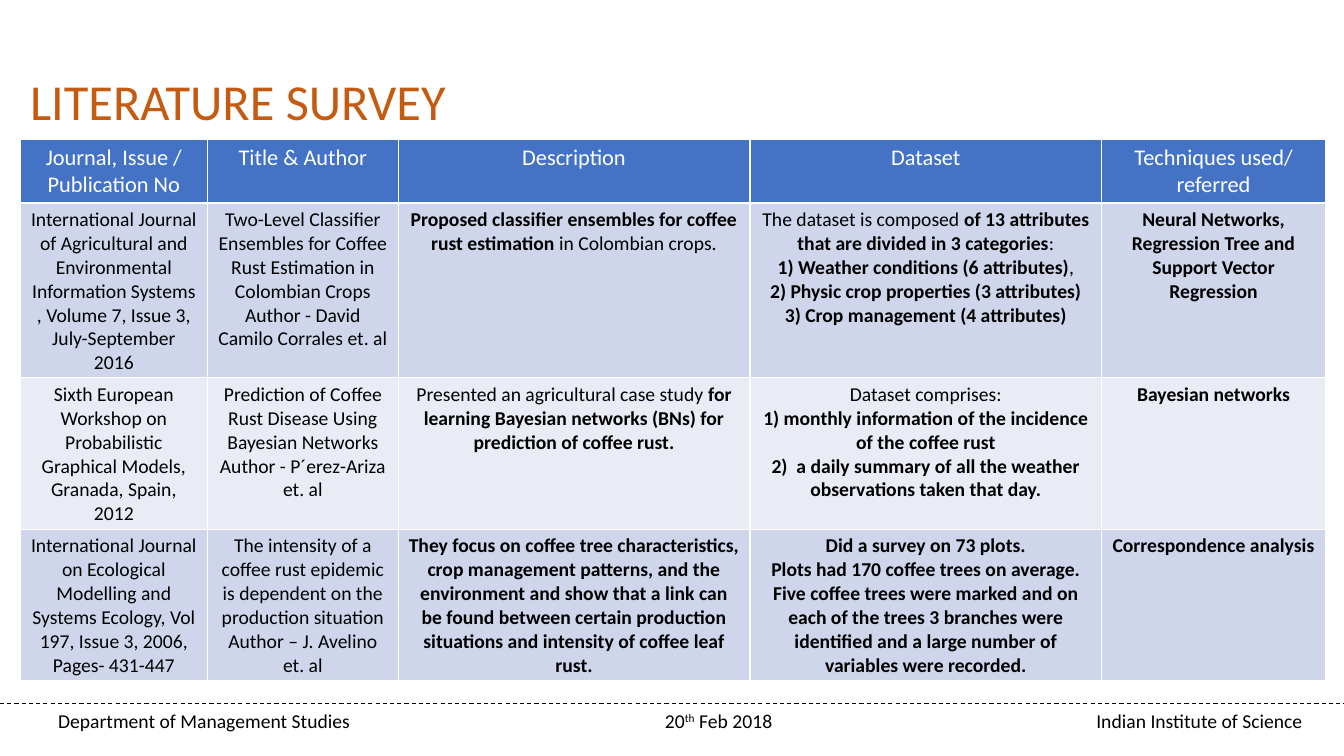
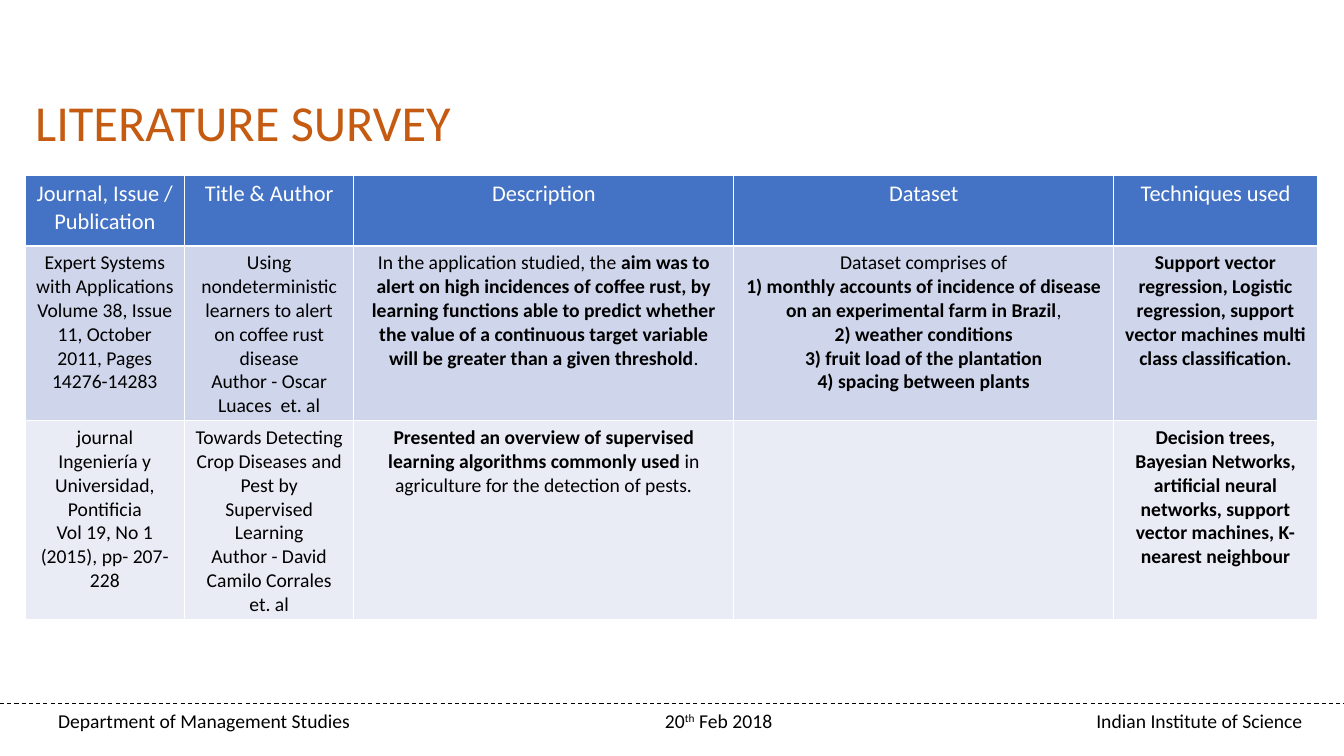
import pptx
import pptx.dml.color
import pptx.enum.dml
import pptx.enum.shapes
import pptx.enum.text
import pptx.oxml
import pptx.oxml.ns
import pptx.util

Pt = pptx.util.Pt

FONT = "Calibri"
COLORS = {
    "title": "C55A11",
    "text": "000000",
    "header": "4472C4",
    "header_text": "FFFFFF",
    "odd_row": "CFD5EA",
    "even_row": "E9EBF5",
}
SLIDE_W, SLIDE_H = 960, 540
FOOTER_TOP = 502.6

# In table cells, ** switches bold on and off, and a line break starts a paragraph.
SURVEYS = [
    {
        "title_at": (14.4, 46.8),
        "table_at": (14.4, 99.4),
        "cols": [133.9, 136.1, 251.3, 251.3, 159.8],
        "rows": [45.4, 123.1, 104.4, 104.4],
        "cells": [
            ["Journal, Issue / Publication No", "Title & Author", "Description",
             "Dataset", "Techniques used/ referred"],
            ["International Journal of Agricultural and Environmental Information "
             "Systems , Volume 7, Issue 3, July-September 2016",
             "Two-Level Classifier Ensembles for Coffee Rust Estimation in Colombian "
             "Crops\nAuthor - David Camilo Corrales et. al",
             "**Proposed classifier ensembles for coffee rust estimation** in "
             "Colombian crops.",
             "The dataset is composed **of 13 attributes that are divided in 3 "
             "categories**:\n**1) Weather conditions (6 attributes)**,\n"
             "**2) Physic crop properties (3 attributes)**\n"
             "**3) Crop management (4 attributes)**",
             "**Neural Networks, Regression Tree and Support Vector Regression**"],
            ["Sixth European Workshop on Probabilistic Graphical Models, Granada, "
             "Spain, 2012",
             "Prediction of Coﬀee Rust Disease Using Bayesian Networks\n"
             "Author - P´erez-Ariza et. al",
             "Presented an agricultural case study **for learning Bayesian networks "
             "(BNs) for prediction of coﬀee rust.**",
             "Dataset comprises:\n"
             "**1) monthly information of the incidence of the coﬀee rust**\n"
             "**2)  a daily summary of all the weather observations taken that day.**",
             "**Bayesian networks**"],
            ["International Journal on Ecological Modelling and Systems Ecology, "
             "Vol 197, Issue 3, 2006, Pages- 431-447",
             "The intensity of a coffee rust epidemic is dependent on the production "
             "situation\nAuthor – J. Avelino et. al",
             "**They focus on coffee tree characteristics, crop management patterns, "
             "and the environment and show that a link can be found between certain "
             "production situations and intensity of coffee leaf rust.**",
             "**Did a survey on 73 plots.**\n"
             "**Plots had 170 coffee trees on average.**\n"
             "**Five coffee trees were marked and on each of the trees 3 branches "
             "were identified and a large number of variables were recorded.**",
             "**Correspondence analysis**"],
        ],
    },
    {
        "title_at": (18, 61.2),
        "table_at": (18, 125.3),
        "cols": [113.8, 121, 271.4, 271.4, 145.4],
        "rows": [50.4, 120.2, 108.7],
        "cells": [
            ["Journal, Issue / Publication", "Title & Author", "Description",
             "Dataset", "Techniques used"],
            ["Expert Systems with Applications\n"
             "Volume 38, Issue 11, October 2011, Pages 14276-14283",
             "Using nondeterministic learners to alert on coffee rust disease\n"
             "Author - Oscar Luaces  et. al",
             "In the application studied, the **aim was to alert on high incidences of "
             "coffee rust, by learning functions able to predict whether the value of "
             "a continuous target variable will be greater than a given threshold**.",
             "Dataset comprises of\n"
             "**1) monthly accounts of incidence of disease on an experimental farm "
             "in Brazil**,\n**2) weather conditions**\n"
             "**3) fruit load of the plantation**\n**4) spacing between plants**",
             "**Support vector regression, Logistic regression, support vector "
             "machines multi class classification.**"],
            ["journal Ingeniería y Universidad, Pontificia\n"
             "Vol 19, No 1 (2015), pp- 207-228",
             "Towards Detecting Crop Diseases and Pest by Supervised Learning\n"
             "Author - David Camilo Corrales et. al",
             "**Presented an overview of supervised learning algorithms commonly "
             "used** in agriculture for the detection of pests.",
             "",
             "**Decision trees, Bayesian Networks, artificial neural networks, "
             "support vector machines, K-nearest neighbour**"],
        ],
    },
]


def rgb(name):
    return pptx.dml.color.RGBColor.from_string(COLORS[name])


def add_run(p, text, size, color="text", bold=False):
    r = p.add_run()
    r.text = text
    r.font.name = FONT
    r.font.size = Pt(size)
    r.font.bold = bold
    r.font.color.rgb = rgb(color)
    return r


def add_text_box(s, left, top, width, height):
    tf = s.shapes.add_textbox(Pt(left), Pt(top), Pt(width), Pt(height)).text_frame
    tf.word_wrap = True
    return tf


def add_title(s, left, top):
    tf = add_text_box(s, left, top, 780, 51)
    add_run(tf.paragraphs[0], "LITERATURE SURVEY", 36, "title")


def add_tab_stops(p, stops):
    tabs = pptx.oxml.parse_xml(
        f"<a:tabLst {pptx.oxml.ns.nsdecls('a')}>"
        + "".join(f'<a:tab pos="{Pt(pos)}" algn="{align}"/>' for pos, align in stops)
        + "</a:tabLst>")
    p._p.get_or_add_pPr().append(tabs)


def add_footer(s):
    line = s.shapes.add_connector(
        pptx.enum.shapes.MSO_CONNECTOR.STRAIGHT,
        0, Pt(FOOTER_TOP), Pt(SLIDE_W), Pt(FOOTER_TOP))
    line.line.color.rgb = rgb("text")
    line.line.width = Pt(0.75)
    line.line.dash_style = pptx.enum.dml.MSO_LINE.DASH
    line._element.spPr.append(
        pptx.oxml.parse_xml(f"<a:effectLst {pptx.oxml.ns.nsdecls('a')}/>"))

    tf = add_text_box(s, 0, FOOTER_TOP, SLIDE_W, 24.2)
    tf.margin_left = Pt(41.5)
    p = tf.paragraphs[0]
    add_tab_stops(p, [(433.5, "l"), (889, "r")])
    add_run(p, "Department of Management Studies\t20", 14)
    ordinal = add_run(p, "th", 14)
    ordinal.font._element.set("baseline", "30000")
    add_run(p, " Feb 2018\tIndian Institute of Science", 14)


def fill_cell(cell, text, size, color, fill):
    cell.fill.solid()
    cell.fill.fore_color.rgb = rgb(fill)
    tf = cell.text_frame
    for i, line in enumerate(text.split("\n")):
        p = tf.add_paragraph() if i else tf.paragraphs[0]
        p.alignment = pptx.enum.text.PP_ALIGN.CENTER
        for j, part in enumerate(line.split("**")):
            if part:
                add_run(p, part, size, color, bold=j % 2 == 1)


def add_survey_table(s, left, top, cols, rows, cells):
    table = s.shapes.add_table(len(rows), len(cols), Pt(left), Pt(top),
                               Pt(sum(cols)), Pt(sum(rows))).table
    for column, width in zip(table.columns, cols):
        column.width = Pt(width)
    for i, (row, height) in enumerate(zip(table.rows, rows)):
        row.height = Pt(height)
        if i == 0:
            style = (16, "header_text", "header")
        else:
            style = (14, "text", "odd_row" if i % 2 else "even_row")
        for cell, text in zip(row.cells, cells[i]):
            fill_cell(cell, text, *style)


def main():
    prs = pptx.Presentation()
    prs.slide_width, prs.slide_height = Pt(SLIDE_W), Pt(SLIDE_H)
    for survey in SURVEYS:
        s = prs.slides.add_slide(prs.slide_layouts[6])
        add_footer(s)
        add_survey_table(s, *survey["table_at"], survey["cols"], survey["rows"],
                         survey["cells"])
        add_title(s, *survey["title_at"])
    prs.save("out.pptx")


if __name__ == "__main__":
    main()
